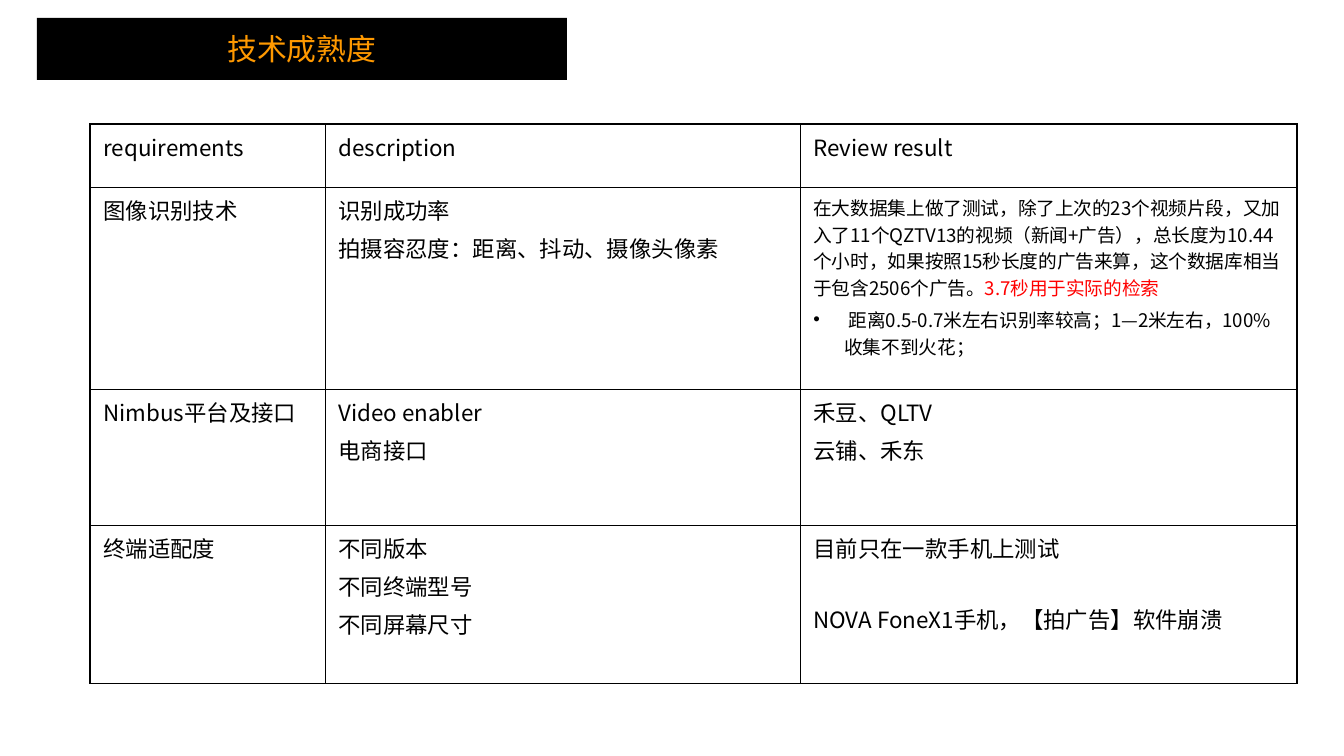
from lxml.etree import SubElement
from pptx import Presentation
from pptx.dml.color import RGBColor
from pptx.enum.text import MSO_ANCHOR as Anchor, PP_ALIGN as Align
from pptx.oxml.ns import qn
from pptx.util import Pt

SCALE = 914400 / 134.4  # EMU in one px
BLACK = RGBColor(0, 0, 0)
ORANGE = RGBColor(0xFF, 0x99, 0x00)
RED = RGBColor(0xFF, 0, 0)
FONT = "Noto Sans CJK SC"
THIN, THICK = 0.45, 1.08


def px(n):
    return round(n * SCALE)


def add_run(para, text, size, color):
    run = para.add_run()
    run.text = text
    font = run.font
    for key, val in {"name": FONT, "size": Pt(size), "bold": False}.items():
        setattr(font, key, val)
    font.color.rgb = color
    SubElement(font._element, qn("a:ea"), typeface=FONT)


prs = Presentation()
prs.slide_width, prs.slide_height = px(1344), px(756)
slide = prs.slides.add_slide(prs.slide_layouts[5])

# Title bar
title = slide.shapes.title
box = {"left": 37, "top": 18, "width": 530, "height": 62}
for key, val in box.items():
    setattr(title, key, px(val))
title.fill.solid()
title.fill.fore_color.rgb = BLACK
title.text_frame.vertical_anchor = Anchor.MIDDLE
para = title.text_frame.paragraphs[0]
para.alignment = Align.CENTER
add_run(para, "技术成熟度", 16, ORANGE)

# Table text: each cell is a list of paragraphs
NOTE = ("在大数据集上做了测试，除了上次的23个视频片段，又加入了11个QZTV13的视频"
        "（新闻+广告），总长度为10.44个小时，如果按照15秒长度的广告来算，"
        "这个数据库相当于包含2506个广告。")
HIT = "3.7秒用于实际的检索"
RANGE = " 距离0.5-0.7米左右识别率较高；1—2米左右，100%收集不到火花；"
PHONE = "NOVA FoneX1手机，【拍广告】软件崩溃"
ROWS = [
    [["requirements"], ["description"], ["Review result"]],
    [["图像识别技术"], ["识别成功率", "拍摄容忍度：距离、抖动、摄像头像素"],
     [NOTE, RANGE]],
    [["Nimbus平台及接口"], ["Video enabler", "电商接口"],
     ["禾豆、QLTV", "云铺、禾东"]],
    [["终端适配度"], ["不同版本", "不同终端型号", "不同屏幕尺寸"],
     ["目前只在一款手机上测试", PHONE]],
]
WIDTHS = [235, 475, 497]
HEIGHTS = [63, 202, 136, 159]

# Table grid
table = slide.shapes.add_table(
    len(ROWS), len(WIDTHS), px(90), px(124),
    px(sum(WIDTHS)), px(sum(HEIGHTS))).table
table.first_row = table.horz_banding = False
for col, width in zip(table.columns, WIDTHS):
    col.width = px(width)
for row, height in zip(table.rows, HEIGHTS):
    row.height = px(height)

for r, row in enumerate(ROWS):
    for c, lines in enumerate(row):
        cell = table.cell(r, c)

        # Borders: thick at the left, right and top of the table
        edges = {"L": c == 0, "R": c == len(WIDTHS) - 1, "T": r == 0, "B": False}
        props = cell._tc.get_or_add_tcPr()
        for side, outer in edges.items():
            width = Pt(THICK if outer else THIN)
            line = SubElement(props, qn(f"a:ln{side}"), w=str(width))
            fill = SubElement(line, qn("a:solidFill"))
            SubElement(fill, qn("a:srgbClr"), val=str(BLACK))
        cell.fill.background()

        # Cell text
        frame = cell.text_frame
        for i, text in enumerate(lines):
            para = frame.add_paragraph() if i else frame.paragraphs[0]
            small = text in (NOTE, RANGE)
            para.space_before = Pt(2.5 if small else 3)
            add_run(para, text, 10 if small else 12, BLACK)
            if text == NOTE:
                add_run(para, HIT, 10, RED)
            elif text == RANGE:
                form = para._p.get_or_add_pPr()
                form.set("marL", str(px(31)))
                form.set("indent", str(-px(31)))
                SubElement(form, qn("a:buFont"), typeface="Arial")
                SubElement(form, qn("a:buChar"), char="•")
            elif text == PHONE:
                para.space_before = Pt(20.5)

prs.save("out.pptx")
